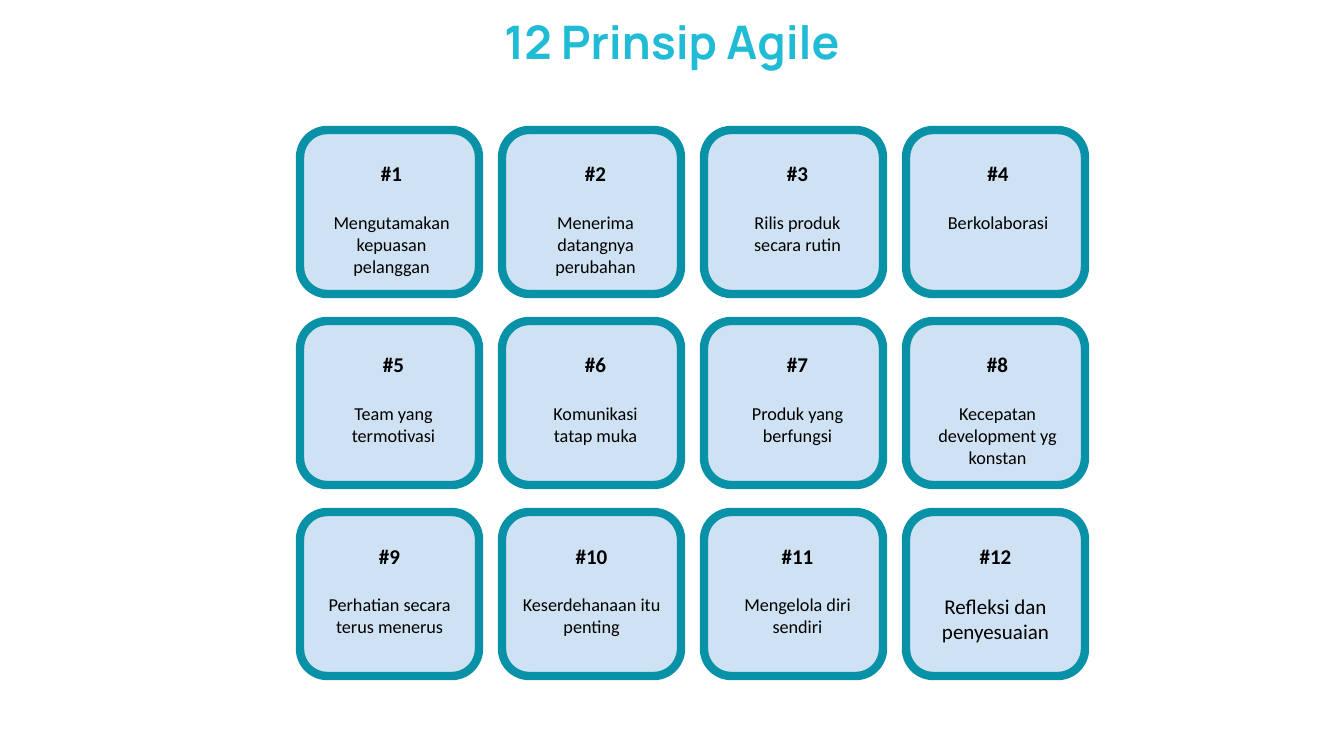
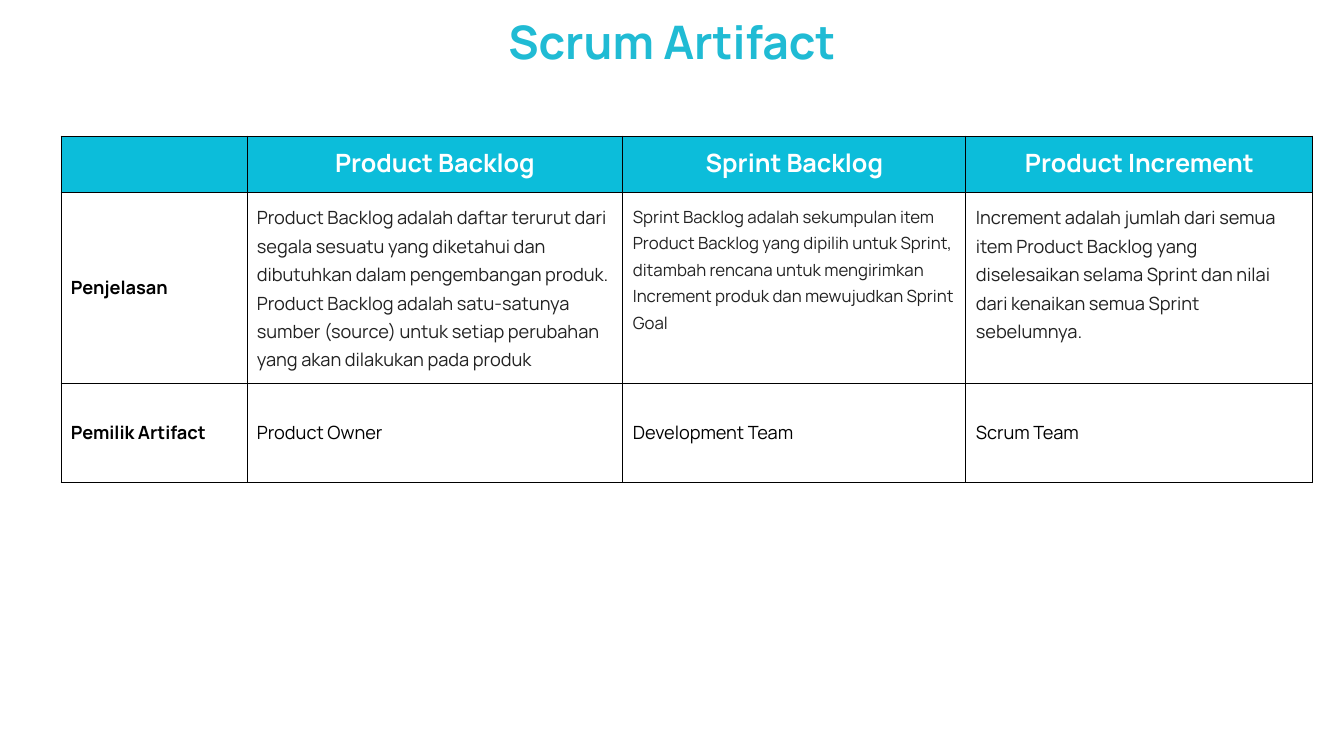
"""Build two slides on Agile: a grid of principles and a table of Scrum artifacts."""
from lxml import etree
from pptx import Presentation
from pptx.dml.color import RGBColor
from pptx.enum.shapes import MSO_SHAPE
from pptx.enum.text import MSO_ANCHOR, PP_ALIGN
from pptx.oxml.ns import qn
from pptx.util import Pt

PX = 9071.43
ROUND = MSO_SHAPE.ROUNDED_RECTANGLE
TOP, MIDDLE = MSO_ANCHOR.TOP, MSO_ANCHOR.MIDDLE
LEFT, CENTER = PP_ALIGN.LEFT, PP_ALIGN.CENTER
COLORS = {
    "title": "20BBD4",
    "tile": "CFE2F3",
    "edge": "0991A7",
    "head": "0CBDDA",
    "white": "FFFFFF",
    "black": "000000",
    "body": "222222",
}
TITLES = ["12 Prinsip Agile", "Scrum Artifact"]
TILES = [
    ("Mengutamakan kepuasan pelanggan", 11, 161, 13),
    ("Menerima datangnya perubahan", 31, 125, 13),
    ("Rilis produk secara rutin", 31, 125, 13),
    ("Berkolaborasi", 19, 146, 13),
    ("Team yang termotivasi", 31, 125, 13),
    ("Komunikasi tatap muka", 31, 125, 13),
    ("Produk yang berfungsi", 31, 125, 13),
    ("Kecepatan development yg konstan", 17, 149, 13),
    ("Perhatian secara terus menerus", 0, 179, 13),
    ("Keserdehanaan itu penting", 0, 179, 13),
    ("Mengelola diri sendiri", 20, 147, 13),
    ("Refleksi dan penyesuaian", 0, 179, 15),
]
WIDTHS = [186, 376, 343, 347]
HEIGHTS = [56, 191, 100]
ROWS = [
    ["", "Product Backlog", "Sprint Backlog", "Product Increment"],
    [
        "Penjelasan",
        "Product Backlog adalah daftar terurut dari segala sesuatu yang diketahui dan "
        "dibutuhkan dalam pengembangan produk.\n"
        "Product Backlog adalah satu-satunya sumber (source) untuk setiap perubahan "
        "yang akan dilakukan pada produk",
        "Sprint Backlog adalah sekumpulan item Product Backlog yang dipilih untuk Sprint, "
        "ditambah rencana untuk mengirimkan Increment produk dan mewujudkan Sprint Goal",
        "Increment adalah jumlah dari semua item Product Backlog yang diselesaikan selama "
        "Sprint dan nilai dari kenaikan semua Sprint sebelumnya.",
    ],
    ["Pemilik Artifact", "Product Owner", "Development Team", "Scrum Team"],
]


def px(*nums):
    return [round(n * PX) for n in nums]


def style(para, face, size, color, bold, align):
    font = para.font
    font.name, font.size, font.bold = face, Pt(size), bold
    font.color.rgb = RGBColor.from_string(COLORS[color])
    para.alignment = align


deck = Presentation()
deck.slide_width, deck.slide_height = px(1344, 756)
slides = []
for title in TITLES:
    slide = deck.slides.add_slide(deck.slide_layouts[6])
    frame = slide.shapes.add_textbox(*px(0, 16, 1344, 58)).text_frame
    frame.word_wrap = True
    frame.vertical_anchor = MIDDLE
    frame.margin_left, frame.margin_right, frame.margin_top, frame.margin_bottom = px(7, 7, 7, 7)
    para = frame.paragraphs[0]
    para.text = title
    para.line_spacing = 0.9
    style(para, "Manrope", 33, "title", True, CENTER)
    slides.append(slide)
grid, chart = slides

for i, (text, inset, width, size) in enumerate(TILES):
    row, col = divmod(i, 4)
    x, y = 300 + 202 * col, 130 + 191 * row
    group = grid.shapes.add_group_shape()
    tile = group.shapes.add_shape(ROUND, *px(x, y, 179, 164))
    tile.shadow.inherit = False
    tile.fill.solid()
    tile.fill.fore_color.rgb = RGBColor.from_string(COLORS["tile"])
    tile.line.color.rgb = RGBColor.from_string(COLORS["edge"])
    tile.line.width = Pt(6)
    frame = group.shapes.add_textbox(*px(x + inset, y + 18, width, 104)).text_frame
    frame.word_wrap = True
    frame.margin_left, frame.margin_right, frame.margin_top, frame.margin_bottom = px(13, 13, 13, 13)
    frame.text = f"#{i + 1}\n{text}"
    mark, label = frame.paragraphs
    style(mark, "Calibri", 15, "black", True, CENTER)
    style(label, "Calibri", size, "black", False, CENTER)
    label.space_before = Pt(18)

table = chart.shapes.add_table(3, 4, *px(61, 136, sum(WIDTHS), sum(HEIGHTS))).table
table.first_row = table.horz_banding = False
for col, width in zip(table.columns, px(*WIDTHS)):
    col.width = width
for row, height in zip(table.rows, px(*HEIGHTS)):
    row.height = height
for r, texts in enumerate(ROWS):
    for c, text in enumerate(texts):
        cell = table.cell(r, c)
        head, long = r == 0, r == 1 and c > 0
        props = cell._tc.get_or_add_tcPr()
        for side in ("a:lnL", "a:lnR", "a:lnT", "a:lnB"):
            line = etree.SubElement(props, qn(side), w="9525")
            fill = etree.SubElement(line, qn("a:solidFill"))
            etree.SubElement(fill, qn("a:srgbClr"), val=COLORS["black"])
        if head:
            cell.fill.solid()
            cell.fill.fore_color.rgb = RGBColor.from_string(COLORS["head"])
        else:
            cell.fill.background()
        cell.margin_left, cell.margin_right, cell.margin_top, cell.margin_bottom = px(10, 10, 10, 10)
        cell.vertical_anchor = TOP if head or long else MIDDLE
        cell.text = text
        size = 18 if head else 12 if long and c == 2 else 13
        color = "white" if head else "body" if long else "black"
        for para in cell.text_frame.paragraphs:
            style(para, "Manrope", size, color, head or c == 0, CENTER if head else LEFT)
            if long:
                para.line_spacing = 1.15

deck.save("out.pptx")
